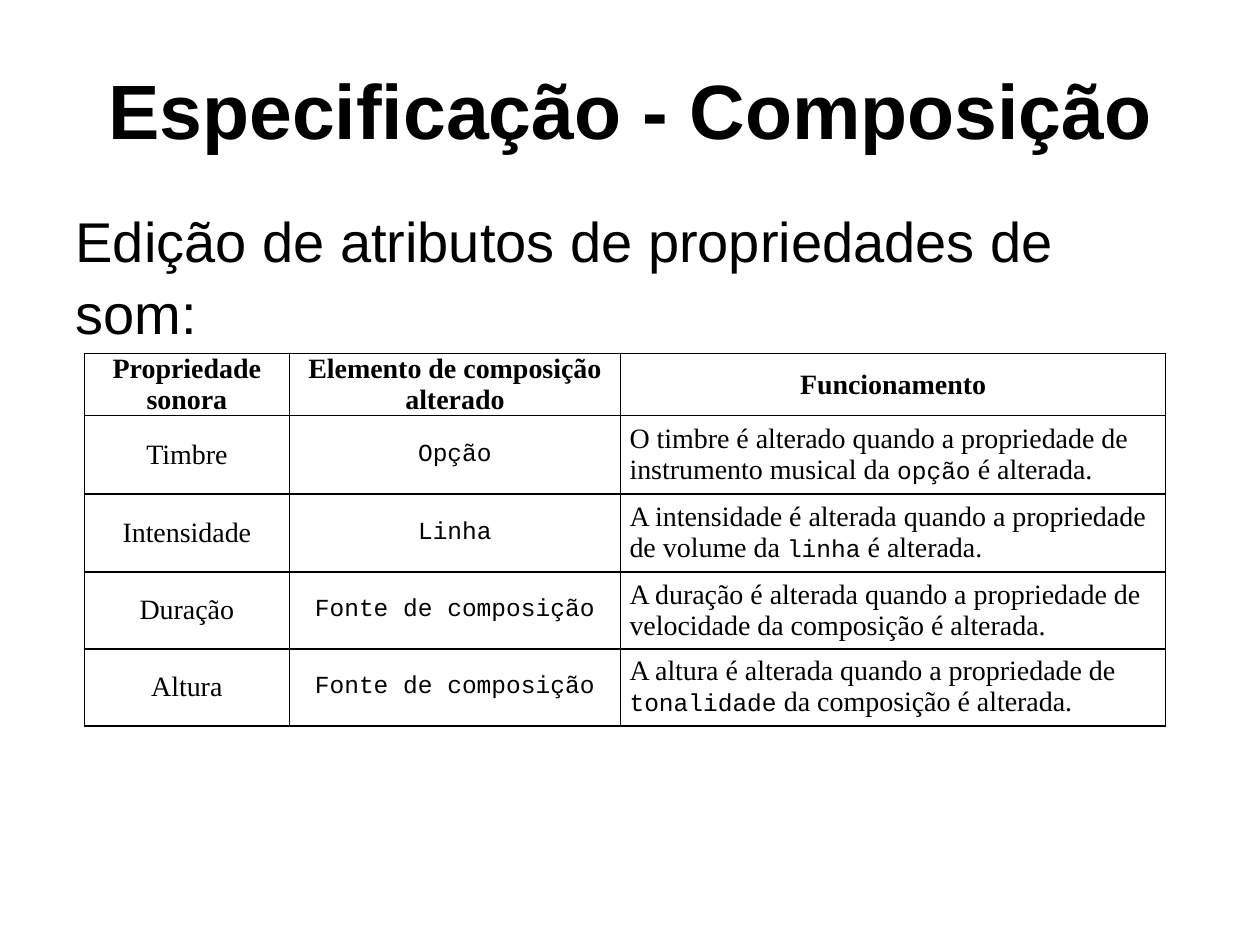
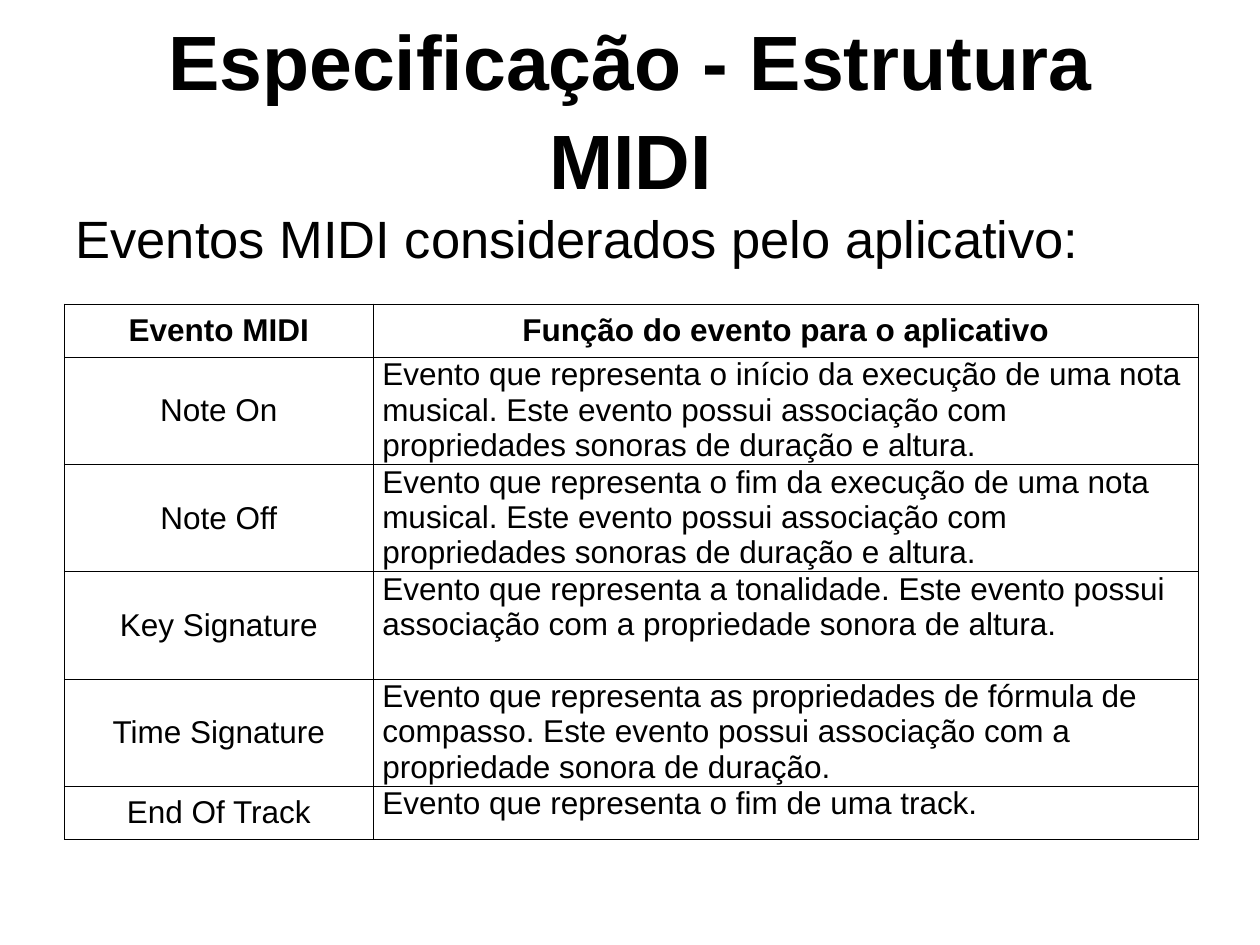
import pptx
import pptx.util
import pptx.dml.color
import pptx.enum.text
import pptx.oxml
import pptx.oxml.ns

Pt = pptx.util.Pt
ALIGN = pptx.enum.text.PP_ALIGN
ANCHOR = pptx.enum.text.MSO_ANCHOR

BLACK = pptx.dml.color.RGBColor(0x00, 0x00, 0x00)
WHITE = pptx.dml.color.RGBColor(0xFF, 0xFF, 0xFF)
SANS, SERIF, MONO = "Arial", "Times New Roman", "Courier New"


class Deck:
    """Holds the shared style and the current slide."""

    title_size = 44
    code_size = 14
    line_spacing = 1.07
    cell_margin = 5.2

    def __init__(self):
        self.presentation = pptx.Presentation()
        self.presentation.slide_width = Pt(720)
        self.presentation.slide_height = Pt(540)
        self.slide = None

    def add_slide(self):
        layout = self.presentation.slide_layouts[1]
        self.slide = self.presentation.slides.add_slide(layout)

    def format_run(self, run, font_name, size, bold=False):
        run.font.name = font_name
        run.font.size = Pt(size)
        run.font.bold = bold
        run.font.color.rgb = BLACK

    def fill_placeholder(self, shape, text, box, size, align, bold=False):
        shape.left, shape.top, shape.width, shape.height = map(Pt, box)
        shape.text_frame.text = text
        shape.text_frame.auto_size = pptx.enum.text.MSO_AUTO_SIZE.NONE
        paragraph = shape.text_frame.paragraphs[0]
        paragraph.alignment = align
        paragraph.line_spacing = self.line_spacing
        paragraph.space_before = Pt(0)
        self.format_run(paragraph.runs[0], SANS, size, bold)
        return paragraph

    def title(self, text):
        self.fill_placeholder(self.slide.shapes.title, text, (36.5, 15.5, 648, 90),
                              self.title_size, ALIGN.CENTER, bold=True)

    def body(self, text, size):
        paragraph = self.fill_placeholder(self.slide.placeholders[1], text,
                                          (36, 111.6, 648, 368.6), size, ALIGN.LEFT)
        # Plain text without bullet or hanging indent
        properties = paragraph._p.get_or_add_pPr()
        properties.set("marL", "0")
        properties.set("indent", "0")
        properties.append(pptx.oxml.parse_xml(
            f"<a:buNone {pptx.oxml.ns.nsdecls('a')}/>"))

    def cell_borders(self, cell, width):
        properties = cell._tc.get_or_add_tcPr()
        for side in ("lnL", "lnR", "lnT", "lnB"):
            properties.append(pptx.oxml.parse_xml(
                f"<a:{side} {pptx.oxml.ns.nsdecls('a')} w='{Pt(width)}'>"
                f"<a:solidFill><a:srgbClr val='{BLACK}'/></a:solidFill></a:{side}>"))

    def cell(self, cell, text, font_name, size, bold, align, anchor, border):
        self.cell_borders(cell, border)
        cell.fill.solid()
        cell.fill.fore_color.rgb = WHITE
        cell.margin_left = cell.margin_right = Pt(self.cell_margin)
        cell.margin_top = cell.margin_bottom = 0
        cell.vertical_anchor = anchor
        paragraph = cell.text_frame.paragraphs[0]
        paragraph.alignment = align
        # Words between backticks are set in the code font
        for index, part in enumerate(text.split("`")):
            if part:
                run = paragraph.add_run()
                run.text = part
                if index % 2:
                    self.format_run(run, MONO, self.code_size, bold)
                else:
                    self.format_run(run, font_name, size, bold)

    def table(self, rows, left, top, widths, heights, font_name, size, border,
              description_anchor):
        """First row is the header; the last column holds the descriptions."""
        frame = self.slide.shapes.add_table(len(rows), len(widths), Pt(left), Pt(top),
                                            Pt(sum(widths)), Pt(sum(heights)))
        table = frame.table
        table.first_row = table.horz_banding = False
        for column, width in zip(table.columns, widths):
            column.width = Pt(width)
        for row_index, (row, height) in enumerate(zip(rows, heights)):
            table.rows[row_index].height = Pt(height)
            header = row_index == 0
            for column_index, text in enumerate(row):
                description = not header and column_index == len(row) - 1
                self.cell(table.cell(row_index, column_index), text, font_name, size,
                          header,
                          ALIGN.LEFT if description else ALIGN.CENTER,
                          description_anchor if description else ANCHOR.MIDDLE,
                          border)


SOUND_PROPERTIES = [
    ("Propriedade sonora", "Elemento de composição alterado", "Funcionamento"),
    ("Timbre", "`Opção`",
     "O timbre é alterado quando a propriedade de instrumento musical da `opção` é alterada."),
    ("Intensidade", "`Linha`",
     "A intensidade é alterada quando a propriedade de volume da `linha` é alterada."),
    ("Duração", "`Fonte de composição`",
     "A duração é alterada quando a propriedade de velocidade da composição é alterada."),
    ("Altura", "`Fonte de composição`",
     "A altura é alterada quando a propriedade de `tonalidade` da composição é alterada."),
]

MIDI_EVENTS = [
    ("Evento MIDI", "Função do evento para o aplicativo"),
    ("Note On",
     "Evento que representa o início da execução de uma nota musical. Este evento possui "
     "associação com propriedades sonoras de duração e altura."),
    ("Note Off",
     "Evento que representa o fim da execução de uma nota musical. Este evento possui "
     "associação com propriedades sonoras de duração e altura."),
    ("Key Signature",
     "Evento que representa a tonalidade. Este evento possui associação com a propriedade "
     "sonora de altura."),
    ("Time Signature",
     "Evento que representa as propriedades de fórmula de compasso. Este evento possui "
     "associação com a propriedade sonora de duração."),
    ("End Of Track", "Evento que representa o fim de uma track."),
]


def main():
    deck = Deck()

    # Slide 1: sound properties
    deck.add_slide()
    deck.title("Especificação - Composição")
    deck.body("Edição de atributos de propriedades de som:", 32)
    deck.table(SOUND_PROPERTIES, 48.2, 202, [117.2, 189.2, 311.6],
               [35.4, 44.6, 44.6, 44, 44], SERIF, 16, 1, ANCHOR.MIDDLE)

    # Slide 2: MIDI events
    deck.add_slide()
    deck.title("Especificação - Estrutura MIDI")
    deck.body("Eventos MIDI considerados pelo aplicativo:", 30)
    deck.table(MIDI_EVENTS, 36.8, 173.8, [176.5, 471.5],
               [30.4] + [61.3] * 4 + [30.4], SANS, 18, 0.5, ANCHOR.TOP)

    deck.presentation.save("out.pptx")


if __name__ == "__main__":
    main()
